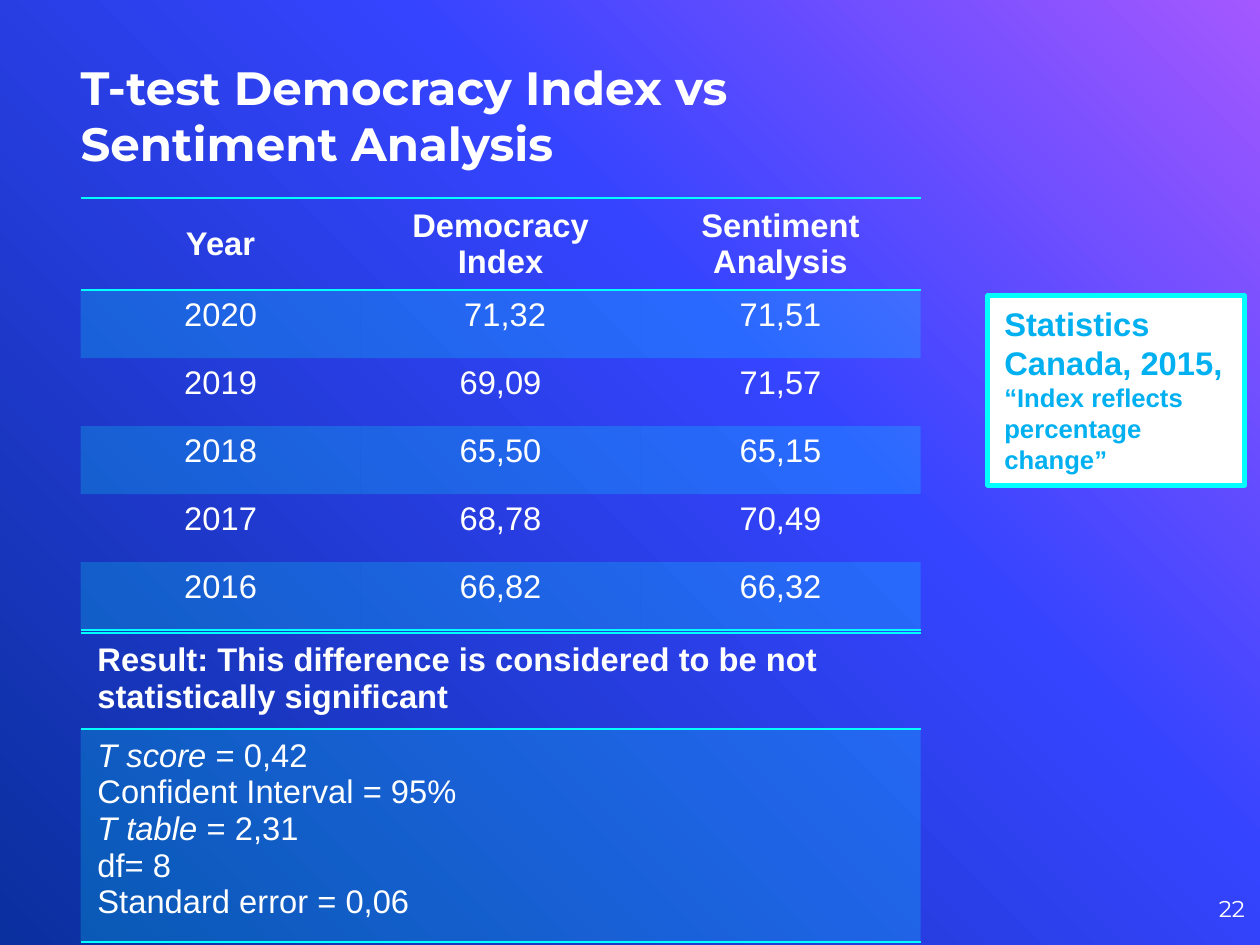
import copy
from dataclasses import dataclass

import pptx
import pptx.dml.color
import pptx.enum.dml
import pptx.enum.shapes
import pptx.enum.text
import pptx.oxml
import pptx.oxml.ns
import pptx.util
from lxml import etree

Inches = pptx.util.Inches
Pt = pptx.util.Pt
Align = pptx.enum.text.PP_ALIGN
Anchor = pptx.enum.text.MSO_ANCHOR
qn = pptx.oxml.ns.qn


@dataclass(frozen=True)
class Theme:
    white: str = "FFFFFF"
    cyan: str = "00FFFF"
    note: str = "00B0F0"
    gradient: tuple = ((0, "A458FF"), (0.39, "3544FF"), (1, "0A2F9E"))
    heading_font: str = "Montserrat"
    body_font: str = "Arial"
    title_size: float = 20
    body_size: float = 14
    note_size: float = 11
    number_size: float = 9.8
    plain_table: str = "{2D5ABB26-0587-4C30-8999-92F81FD0307C}"


THEME = Theme()
INDEX_ROWS = (
    ("Year", "Democracy Index", "Sentiment Analysis"),
    ("2020", " 71,32", "71,51"),
    ("2019", "69,09", "71,57"),
    ("2018", "65,50", "65,15"),
    ("2017", "68,78", "70,49"),
    ("2016", "66,82", "66,32"),
)
RESULT = "Result: This difference is considered to be not statistically significant"
SCORES = (
    (("T score", True), (" = 0,42", False)),
    (("Confident Interval = 95%", False),),
    (("T table ", True), ("= 2,31", False)),
    (("df= 8", False),),
    (("Standard error = 0,06", False),),
)


def rgb(value):
    return pptx.dml.color.RGBColor.from_string(value)


def style(para, size, color=THEME.white, font=THEME.body_font, bold=False, align=Align.LEFT):
    para.alignment = align
    para.font.size = Pt(size)
    para.font.name = font
    para.font.bold = bold
    para.font.color.rgb = rgb(color)


def clear_margins(frame):
    frame.margin_left = frame.margin_right = frame.margin_top = frame.margin_bottom = 0
    frame.word_wrap = True


def paint_background(page):
    fill = page.background.fill
    fill.gradient()
    fill.gradient_angle = 225
    stops = next(page.element.iter(qn("a:gsLst")))
    stops.append(copy.deepcopy(stops[0]))
    for stop, (position, color) in zip(fill.gradient_stops, THEME.gradient):
        stop.position = position
        stop.color.rgb = rgb(color)


def add_title(page, box):
    title = page.shapes.title
    title.left, title.top, title.width, title.height = map(Inches, box)
    frame = title.text_frame
    clear_margins(frame)
    frame.auto_size = pptx.enum.text.MSO_AUTO_SIZE.NONE
    frame.vertical_anchor = Anchor.BOTTOM
    frame.text = "T-test Democracy Index vs Sentiment Analysis"
    style(frame.paragraphs[0], THEME.title_size, font=THEME.heading_font, bold=True)


def finish_cell(cell, edges, shaded):
    properties = cell._tc.get_or_add_tcPr()
    for edge in edges:
        line = etree.SubElement(properties, qn("a:" + edge), w=str(Pt(1)))
        fill = etree.SubElement(line, qn("a:solidFill"))
        etree.SubElement(fill, qn("a:srgbClr"), val=THEME.cyan)
    if shaded:
        cell.fill.solid()
        cell.fill.fore_color.rgb = rgb(THEME.cyan)
        color = properties.find(qn("a:solidFill"))[0]
        etree.SubElement(color, qn("a:alpha"), val="20000")
    else:
        cell.fill.background()


def add_plain_table(page, box, columns, heights):
    frame = page.shapes.add_table(len(heights), columns, *map(Inches, box))
    table = frame.table
    table.first_row = table.horz_banding = False
    next(table._tbl.iter(qn("a:tableStyleId"))).text = THEME.plain_table
    for row, height in zip(table.rows, heights):
        row.height = Inches(height)
    last = len(heights) - 1
    for index in range(len(heights)):
        edges = ("lnT", "lnB") if index == 0 else ("lnB",) if index == last else ()
        for column in range(columns):
            finish_cell(table.cell(index, column), edges, index % 2 == 1)
    return table


def add_index_table(page, box):
    heights = [box[3] / len(INDEX_ROWS)] * len(INDEX_ROWS)
    table = add_plain_table(page, box, len(INDEX_ROWS[0]), heights)
    for row, values in enumerate(INDEX_ROWS):
        for column, value in enumerate(values):
            cell = table.cell(row, column)
            cell.text = value
            cell.margin_top = cell.margin_bottom = Inches(0.04)
            cell.vertical_anchor = Anchor.MIDDLE if row == 0 else Anchor.TOP
            style(cell.text_frame.paragraphs[0], THEME.body_size,
                  bold=row == 0, align=Align.CENTER)


def add_result_table(page, box):
    header = 0.57
    table = add_plain_table(page, box, 1, [header, box[3] - header])
    table.cell(0, 0).text = RESULT
    style(table.cell(0, 0).text_frame.paragraphs[0], THEME.body_size, bold=True)
    frame = table.cell(1, 0).text_frame
    for index, spans in enumerate(SCORES):
        para = frame.paragraphs[0] if index == 0 else frame.add_paragraph()
        for text, italic in spans:
            span = para.add_run()
            span.text = text
            if italic:
                span.font.italic = True
        style(para, THEME.body_size)


def add_source_note(page, box):
    note = page.shapes.add_shape(pptx.enum.shapes.MSO_SHAPE.RECTANGLE, *map(Inches, box))
    note.shadow.inherit = False
    note.fill.solid()
    note.fill.fore_color.rgb = rgb(THEME.white)
    note.line.color.rgb = rgb(THEME.cyan)
    note.line.width = Pt(2)
    frame = note.text_frame
    frame.word_wrap = True
    frame.vertical_anchor = Anchor.TOP
    frame.text = "Statistics Canada, 2015,\n“Index reflects percentage change”"
    for para, size in zip(frame.paragraphs, (THEME.body_size, THEME.note_size)):
        style(para, size, color=THEME.note, bold=True)


def add_page_number(page, box):
    frame = page.shapes.add_textbox(*map(Inches, box)).text_frame
    clear_margins(frame)
    frame.vertical_anchor = Anchor.MIDDLE
    frame.text = "22"
    style(frame.paragraphs[0], THEME.number_size, font=THEME.heading_font, align=Align.RIGHT)


def main():
    deck = pptx.Presentation()
    deck.slide_width = Inches(7.5)
    deck.slide_height = Inches(7.5 * 3 / 4)
    page = deck.slides.add_slide(deck.slide_layouts[5])
    left, table_width = 0.48, 5
    paint_background(page)
    add_title(page, (left, 0.23, 4.93, 0.79))
    add_page_number(page, (6.96, 5.19, 0.45, 0.43))
    add_index_table(page, (left, 1.18, table_width, 2.43))
    add_source_note(page, (5.88, 1.76, 1.53, 1.13))
    add_result_table(page, (left, 3.77, table_width, 1.84))
    deck.save("out.pptx")


if __name__ == "__main__":
    main()
